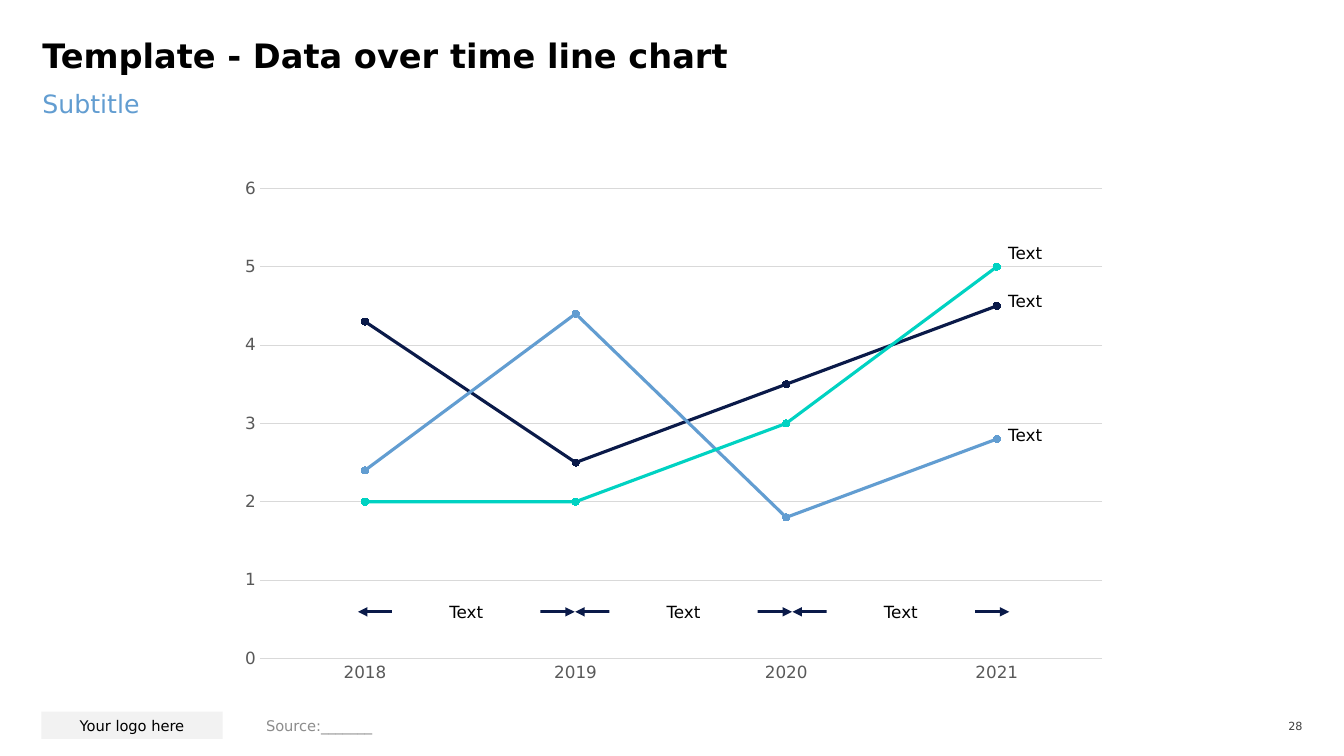
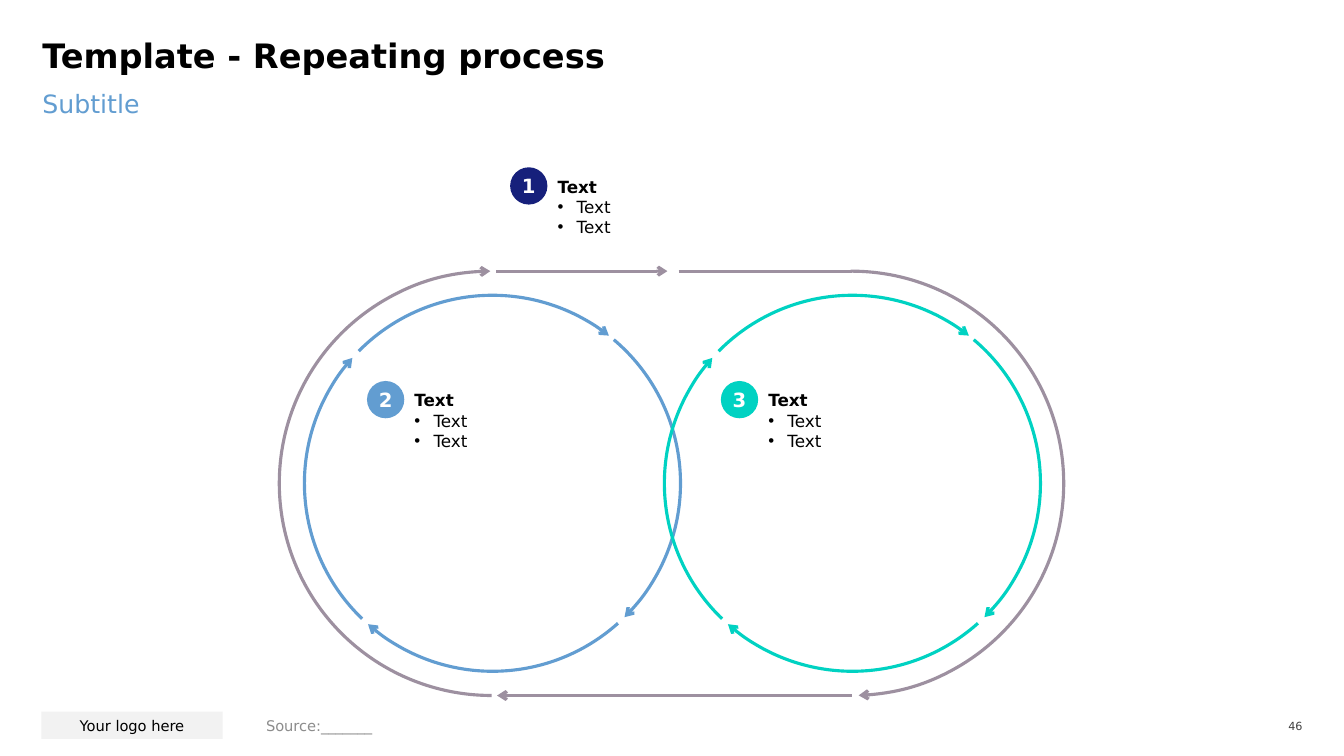
"""Build a line chart slide and a repeating process slide."""
from dataclasses import dataclass

from lxml import etree
from pptx import Presentation
from pptx.chart.data import CategoryChartData
from pptx.dml.color import RGBColor
from pptx.enum.chart import XL_CHART_TYPE, XL_MARKER_STYLE, XL_TICK_MARK
from pptx.enum.shapes import MSO_CONNECTOR, MSO_SHAPE
from pptx.enum.text import MSO_ANCHOR, MSO_AUTO_SIZE, PP_ALIGN
from pptx.oxml.ns import qn
from pptx.slide import Slide
from pptx.util import Inches, Pt

LINE_MARKERS = XL_CHART_TYPE.LINE_MARKERS
CIRCLE = XL_MARKER_STYLE.CIRCLE
NO_TICK = XL_TICK_MARK.NONE
STRAIGHT = MSO_CONNECTOR.STRAIGHT
RECT, OVAL, ARC = MSO_SHAPE.RECTANGLE, MSO_SHAPE.OVAL, MSO_SHAPE.ARC
TOP, MIDDLE = MSO_ANCHOR.TOP, MSO_ANCHOR.MIDDLE
NO_FIT = MSO_AUTO_SIZE.NONE
LEFT, CENTER, RIGHT = PP_ALIGN.LEFT, PP_ALIGN.CENTER, PP_ALIGN.RIGHT

FONT = "DejaVu Sans"
BLACK, WHITE, CHARCOAL, GRAY = "000000", "FFFFFF", "404040", "8C8C8C"
AXIS_GRAY, GRID_GRAY, LOGO_GRAY = "595959", "D9D9D9", "F2F2F2"
NAVY, INDIGO, BLUE, TEAL, MAUVE = "0A1A49", "16207B", "629DD1", "00D2C2", "9D90A0"
LINE_WIDTH = 2.25


@dataclass(frozen=True)
class Series:
    """One line of the chart and the top of its end label."""
    name: str
    values: tuple[float, ...]
    color: str
    label_top: float


@dataclass(frozen=True)
class Step:
    """A numbered step with its badge position."""
    number: str
    left: float
    top: float
    text_width: float
    color: str


@dataclass(frozen=True)
class Loop:
    """A circle drawn as arcs, each given by start and end degrees."""
    left: float
    top: float
    size: float
    color: str
    arcs: tuple[tuple[float, float], ...]


YEARS = ("2018", "2019", "2020", "2021")
SERIES = (
    Series("Series 1", (4.3, 2.5, 3.5, 4.5), NAVY, 2.88),
    Series("Series 2", (2.4, 4.4, 1.8, 2.8), BLUE, 4.21),
    Series("Series 3", (2, 2, 3, 5), TEAL, 2.41),
)
PERIOD_LEFT, PERIOD_Y, PERIOD_STEP, PERIOD_WIDTH = 3.55, 6.07, 2.155, 2.15
LABEL_WIDTH, LABEL_HEIGHT = 1.47, 0.2
STEPS = (
    Step("1", 5.06, 1.66, 3.49, INDIGO),
    Step("2", 3.64, 3.78, 2.42, BLUE),
    Step("3", 7.15, 3.78, 2.42, TEAL),
)
BADGE = 0.37
INNER_ARCS = ((133.89, 221.82), (224.64, 308.25), (310.19, 45.4), (48.13, 131.44))
LOOPS = (
    Loop(3.02, 2.93, 3.73, BLUE, INNER_ARCS),
    Loop(6.59, 2.93, 3.73, TEAL, INNER_ARCS),
    Loop(2.77, 2.69, 4.21, MAUVE, ((89.98, 269.68),)),
    Loop(6.34, 2.69, 4.21, MAUVE, ((269.74, 88.06),)),
)


def rgb(color: str) -> RGBColor:
    """Turn a hex string into a colour."""
    return RGBColor.from_string(color)


def style_font(font, size: float, color: str, bold: bool = False) -> None:
    """Set typeface, size, colour and weight."""
    font.name, font.size, font.bold = FONT, Pt(size), bold
    font.color.rgb = rgb(color)


def add_run(p, text: str, size: float, color: str = BLACK, bold: bool = False) -> None:
    """Append a formatted run to a paragraph."""
    r = p.add_run()
    r.text = text
    style_font(r.font, size, color, bold)


def set_frame(tf, anchor=MIDDLE, inset: float = 0) -> None:
    """Set wrapping, anchor and margins of a text frame."""
    tf.word_wrap, tf.auto_size, tf.vertical_anchor = True, NO_FIT, anchor
    tf.margin_left = tf.margin_right = Inches(inset)
    tf.margin_top = tf.margin_bottom = Inches(inset / 2)


def add_text(s: Slide, box: tuple[float, ...], text: str, size: float,
             color: str = BLACK, align=LEFT, anchor=MIDDLE, inset: float = 0) -> None:
    """Add a text box with one line."""
    tf = s.shapes.add_textbox(*map(Inches, box)).text_frame
    set_frame(tf, anchor, inset)
    p = tf.paragraphs[0]
    p.alignment = align
    add_run(p, text, size, color)


def add_filled(s: Slide, kind, box: tuple[float, ...], fill: str, text: str,
               size: float, color: str = BLACK, bold: bool = False) -> None:
    """Add a filled shape with centred text."""
    sp = s.shapes.add_shape(kind, *map(Inches, box))
    sp.shadow.inherit = False
    sp.fill.solid()
    sp.fill.fore_color.rgb = rgb(fill)
    sp.line.fill.background()
    set_frame(sp.text_frame)
    p = sp.text_frame.paragraphs[0]
    p.alignment = CENTER
    add_run(p, text, size, color, bold)


def style_line(sp, color: str, head: str = "", tail: str = "") -> None:
    """Set line colour, width and arrowheads."""
    sp.line.color.rgb = rgb(color)
    sp.line.width = Pt(LINE_WIDTH)
    ln = sp.element.spPr.find(qn("a:ln"))
    for tag, kind in (("a:headEnd", head), ("a:tailEnd", tail)):
        if kind:
            etree.SubElement(ln, qn(tag), type=kind)


def add_line(s: Slide, x1: float, x2: float, y: float, color: str,
             head: str = "", tail: str = "") -> None:
    """Add a horizontal line."""
    sp = s.shapes.add_connector(STRAIGHT, *map(Inches, (x1, y, x2, y)))
    style_line(sp, color, head, tail)
    etree.SubElement(sp.element.spPr, qn("a:effectLst"))


def add_loop(s: Slide, loop: Loop) -> None:
    """Draw the arrowed arcs of a loop."""
    box = (loop.left, loop.top, loop.size, loop.size)
    for arc in loop.arcs:
        sp = s.shapes.add_shape(ARC, *map(Inches, box))
        for i, degrees in enumerate(arc):
            sp.adjustments[i] = degrees * 0.6
        sp.fill.background()
        style_line(sp, loop.color, tail="arrow")
        sp.shadow.inherit = False


def add_step(s: Slide, step: Step) -> None:
    """Draw a number badge with a heading and two bullets."""
    add_filled(s, OVAL, (step.left, step.top, BADGE, BADGE), step.color,
               step.number, 14, WHITE, True)
    box = (step.left + 0.47, step.top + 0.09, step.text_width, 0.61)
    tf = s.shapes.add_textbox(*map(Inches, box)).text_frame
    set_frame(tf, TOP)
    add_run(tf.paragraphs[0], "Text", 12, bold=True)
    for _ in range(2):
        p = tf.add_paragraph()
        pPr = p._p.get_or_add_pPr()
        pPr.set("marL", str(Inches(0.19)))
        pPr.set("indent", str(-Inches(0.19)))
        etree.SubElement(pPr, qn("a:buFont"), typeface="Arial")
        etree.SubElement(pPr, qn("a:buChar"), char="•")
        add_run(p, "Text", 12)


def place_plot(chart, **fractions: float) -> None:
    """Fix the inner plot area as fractions of the chart."""
    area = chart._chartSpace.find(".//" + qn("c:plotArea"))
    for old in area.findall(qn("c:layout")):
        area.remove(old)
    layout = etree.Element(qn("c:layout"))
    manual = etree.SubElement(layout, qn("c:manualLayout"))
    settings = {"layoutTarget": "inner", "xMode": "edge", "yMode": "edge", **fractions}
    for tag, value in settings.items():
        etree.SubElement(manual, qn(f"c:{tag}"), val=str(value))
    area.insert(0, layout)


def add_line_chart(s: Slide) -> None:
    """Add the chart of all series over the years."""
    data = CategoryChartData()
    data.categories = YEARS
    for item in SERIES:
        data.add_series(item.name, item.values)
    box = map(Inches, (2.22, 1.66, 8.89, 5.24))
    chart = s.shapes.add_chart(LINE_MARKERS, *box, data).chart
    chart.has_title = chart.has_legend = False
    style_font(chart.font, 10, BLACK)
    chart.plots[0].vary_by_categories = False
    place_plot(chart, x=0.04, y=0.04, w=0.94, h=0.89)
    for axis in (chart.category_axis, chart.value_axis):
        axis.major_tick_mark = axis.minor_tick_mark = NO_TICK
        style_font(axis.tick_labels.font, 12, AXIS_GRAY)
    values = chart.value_axis
    values.minimum_scale, values.maximum_scale, values.major_unit = 0, 6, 1
    values.format.line.fill.background()
    for line in (chart.category_axis.format.line, values.major_gridlines.format.line):
        line.color.rgb = rgb(GRID_GRAY)
        line.width = Pt(0.75)
    for series, item in zip(chart.plots[0].series, SERIES):
        series.smooth = False
        series.format.line.color.rgb = rgb(item.color)
        series.format.line.width = Pt(LINE_WIDTH)
        marker = series.marker
        marker.style, marker.size = CIRCLE, 5
        marker.format.fill.solid()
        marker.format.fill.fore_color.rgb = rgb(item.color)
        marker.format.line.color.rgb = rgb(item.color)


def add_slide(prs, title: str, number: str) -> Slide:
    """Add a slide with title, subtitle and footer."""
    s = prs.slides.add_slide(prs.slide_layouts[5])
    sp = s.shapes.title
    sp.left, sp.top, sp.width, sp.height = map(Inches, (0.42, 0.42, 12.49, 0.53))
    set_frame(sp.text_frame, TOP)
    p = sp.text_frame.paragraphs[0]
    p.alignment, p.line_spacing = LEFT, 0.8
    add_run(p, title, 24, bold=True)
    add_text(s, (0.42, 0.88, 12.49, 0.63), "Subtitle", 18, BLUE, anchor=TOP)
    add_filled(s, RECT, (0.41, 7.06, 1.8, 0.27), LOGO_GRAY, "Your logo here", 10.5)
    add_text(s, (2.54, 7.07, 6.39, 0.26), "Source:_______", 10.5, GRAY, inset=0.1)
    add_text(s, (12.5, 7.09, 0.42, 0.23), number, 8, CHARCOAL, RIGHT)
    return s


def build_chart_slide(prs) -> None:
    """Build the line chart slide with its period arrows."""
    s = add_slide(prs, "Template - Data over time line chart", "28")
    add_line_chart(s)
    for item in SERIES:
        add_text(s, (10, item.label_top, LABEL_WIDTH, LABEL_HEIGHT), "Text", 12)
    for i in range(len(YEARS) - 1):
        x = PERIOD_LEFT + i * PERIOD_STEP
        add_line(s, x, x + PERIOD_WIDTH, PERIOD_Y, NAVY, "triangle", "triangle")
        box = (x + (PERIOD_WIDTH - LABEL_WIDTH) / 2, PERIOD_Y - LABEL_HEIGHT / 2,
               LABEL_WIDTH, LABEL_HEIGHT)
        add_filled(s, RECT, box, WHITE, "Text", 12)


def build_process_slide(prs) -> None:
    """Build the repeating process slide."""
    s = add_slide(prs, "Template - Repeating process", "46")
    for step in STEPS:
        add_step(s, step)
    for loop in LOOPS:
        add_loop(s, loop)
    add_line(s, 4.92, 6.62, 2.69, MAUVE, tail="arrow")
    add_line(s, 6.73, 8.45, 2.69, MAUVE)
    add_line(s, 8.45, 4.93, 6.9, MAUVE, tail="arrow")


def main() -> None:
    """Build and save the presentation."""
    prs = Presentation()
    prs.slide_width, prs.slide_height = Inches(13.33), Inches(7.5)
    build_chart_slide(prs)
    build_process_slide(prs)
    prs.save("out.pptx")


if __name__ == "__main__":
    main()
